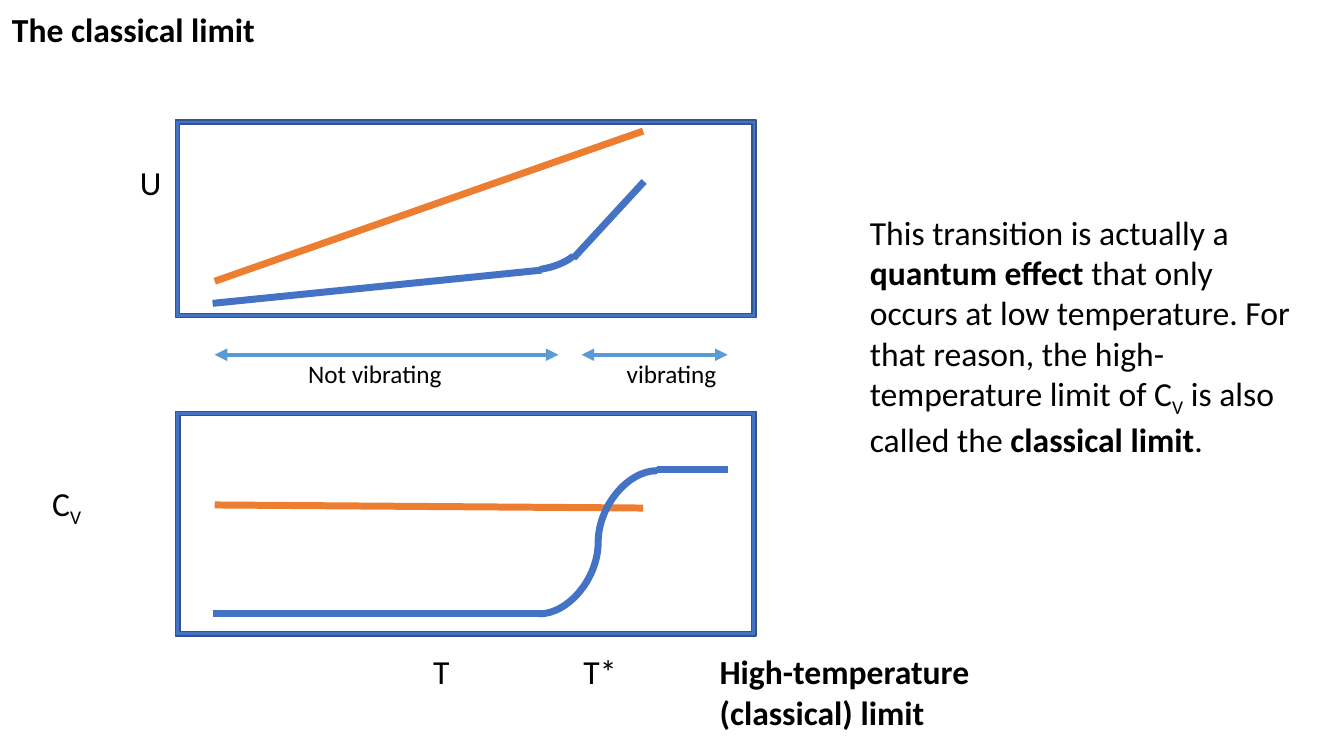
from dataclasses import dataclass

from lxml.etree import SubElement
from pptx import Presentation
from pptx.dml.color import RGBColor
from pptx.enum.shapes import MSO_CONNECTOR as Link, MSO_SHAPE as Preset
from pptx.oxml.ns import qn
from pptx.slide import Slide
from pptx.util import Pt


@dataclass(frozen=True)
class Theme:
    font: str = "Calibri"
    ink: str = "000000"
    quantum: str = "4472C4"
    classical: str = "ED7D31"
    span: str = "5B9BD5"
    panel_edge: str = "325491"
    body_size: float = 24
    span_size: float = 18
    curve_width: float = 5
    span_width: float = 3
    edge_width: float = 1


THEME = Theme()


@dataclass(frozen=True)
class Box:
    left: float
    top: float
    width: float
    height: float

    def lengths(self) -> list[Pt]:
        return [Pt(v) for v in (self.left, self.top, self.width, self.height)]


@dataclass(frozen=True)
class Stroke:
    start: tuple[float, float]
    end: tuple[float, float]
    color: str = THEME.quantum
    width: float = THEME.curve_width
    route: Link = Link.STRAIGHT
    arrows: bool = False


@dataclass(frozen=True)
class Piece:
    text: str
    bold: bool = False
    subscript: bool = False


@dataclass(frozen=True)
class Label:
    box: Box
    pieces: tuple[Piece, ...]
    size: float = THEME.body_size


def span(left: float, right: float) -> Stroke:
    return Stroke((left, 253.4), (right, 253.4), THEME.span, THEME.span_width, arrows=True)


PANELS = [Box(125.3, 85.7, 414.7, 141.1), Box(125.3, 293.8, 414.7, 160.6)]
BEND = Box(327.6, 150.5, 87.8, 43.2)
BEND_ANGLES = (9.4, 33.06)

STROKES = [
    Stroke((151.9, 216.7), (386.6, 193)),
    Stroke((153.4, 200.9), (459.4, 93.6), THEME.classical),
    Stroke((409.7, 184.3), (460.1, 129.6)),
    Stroke((151.9, 438.5), (386.6, 438.5)),
    Stroke((153.4, 360.7), (459.4, 362.9), THEME.classical),
    Stroke((469.4, 335.5), (519.8, 335.5)),
    Stroke((385.2, 438.5), (469.4, 336.2), route=Link.CURVE),
    span(153.4, 398.9),
    span(415.4, 519.8),
]

HEAT_CAPACITY_INDEX = Piece("V", subscript=True)

LABELS = [
    Label(Box(1.4, 2.9, 907.9, 36), (Piece("The classical limit", bold=True),)),
    Label(Box(92.9, 112.3, 84.2, 26.6), (Piece("U"),)),
    Label(Box(30.2, 341.3, 84.2, 36), (Piece("C"), HEAT_CAPACITY_INDEX)),
    Label(Box(302.4, 461.5, 84.2, 26.6), (Piece("T"),)),
    Label(Box(409.7, 461.5, 84.2, 36), (Piece("T*"),)),
    Label(
        Box(506.9, 461.5, 245.5, 65.5),
        (Piece("High-temperature (classical) limit", bold=True),),
    ),
    Label(Box(213.1, 252.7, 132.5, 28.8), (Piece("Not vibrating"),), THEME.span_size),
    Label(Box(440.6, 252.7, 79.2, 28.8), (Piece("vibrating"),), THEME.span_size),
    Label(
        Box(614.2, 147.6, 320.4, 181.4),
        (
            Piece("This transition is actually a "),
            Piece("quantum effect", bold=True),
            Piece(
                " that only occurs at low temperature. For that reason, "
                "the high-temperature limit of C"
            ),
            HEAT_CAPACITY_INDEX,
            Piece(" is also called the "),
            Piece("classical limit", bold=True),
            Piece("."),
        ),
    ),
]


def draw_panel(slide: Slide, box: Box) -> None:
    panel = slide.shapes.add_shape(Preset.FRAME, *box.lengths())
    panel.shadow.inherit = False
    panel.adjustments[0] = 0.02
    panel.fill.solid()
    panel.fill.fore_color.rgb = RGBColor.from_string(THEME.quantum)
    panel.line.color.rgb = RGBColor.from_string(THEME.panel_edge)
    panel.line.width = Pt(THEME.edge_width)


def draw_bend(slide: Slide) -> None:
    bend = slide.shapes.add_shape(Preset.ARC, *BEND.lengths())
    bend.shadow.inherit = False
    for index, angle in enumerate(BEND_ANGLES):
        bend.adjustments[index] = angle
    bend.fill.background()
    bend.line.color.rgb = RGBColor.from_string(THEME.quantum)
    bend.line.width = Pt(THEME.curve_width)


def draw_stroke(slide: Slide, stroke: Stroke) -> None:
    ends = [Pt(v) for v in (*stroke.start, *stroke.end)]
    connector = slide.shapes.add_connector(stroke.route, *ends)
    connector.line.color.rgb = RGBColor.from_string(stroke.color)
    connector.line.width = Pt(stroke.width)
    properties = connector._element.spPr
    if stroke.arrows:
        outline = properties.find(qn("a:ln"))
        for tag in ("a:headEnd", "a:tailEnd"):
            SubElement(outline, qn(tag)).set("type", "triangle")
    SubElement(properties, qn("a:effectLst"))


def draw_label(slide: Slide, label: Label) -> None:
    frame = slide.shapes.add_textbox(*label.box.lengths()).text_frame
    frame.word_wrap = True
    for piece in label.pieces:
        run = frame.paragraphs[0].add_run()
        run.text = piece.text
        formats = {"name": THEME.font, "size": Pt(label.size), "bold": piece.bold}
        for attribute, value in formats.items():
            setattr(run.font, attribute, value)
        run.font.color.rgb = RGBColor.from_string(THEME.ink)
        if piece.subscript:
            run._r.get_or_add_rPr().set("baseline", "-25000")


def main() -> None:
    deck = Presentation()
    deck.slide_width, deck.slide_height = Pt(960), Pt(540)
    slide = deck.slides.add_slide(deck.slide_layouts[6])
    for panel in PANELS:
        draw_panel(slide, panel)
    draw_bend(slide)
    for stroke in STROKES:
        draw_stroke(slide, stroke)
    for label in LABELS:
        draw_label(slide, label)
    deck.save("out.pptx")


if __name__ == "__main__":
    main()
